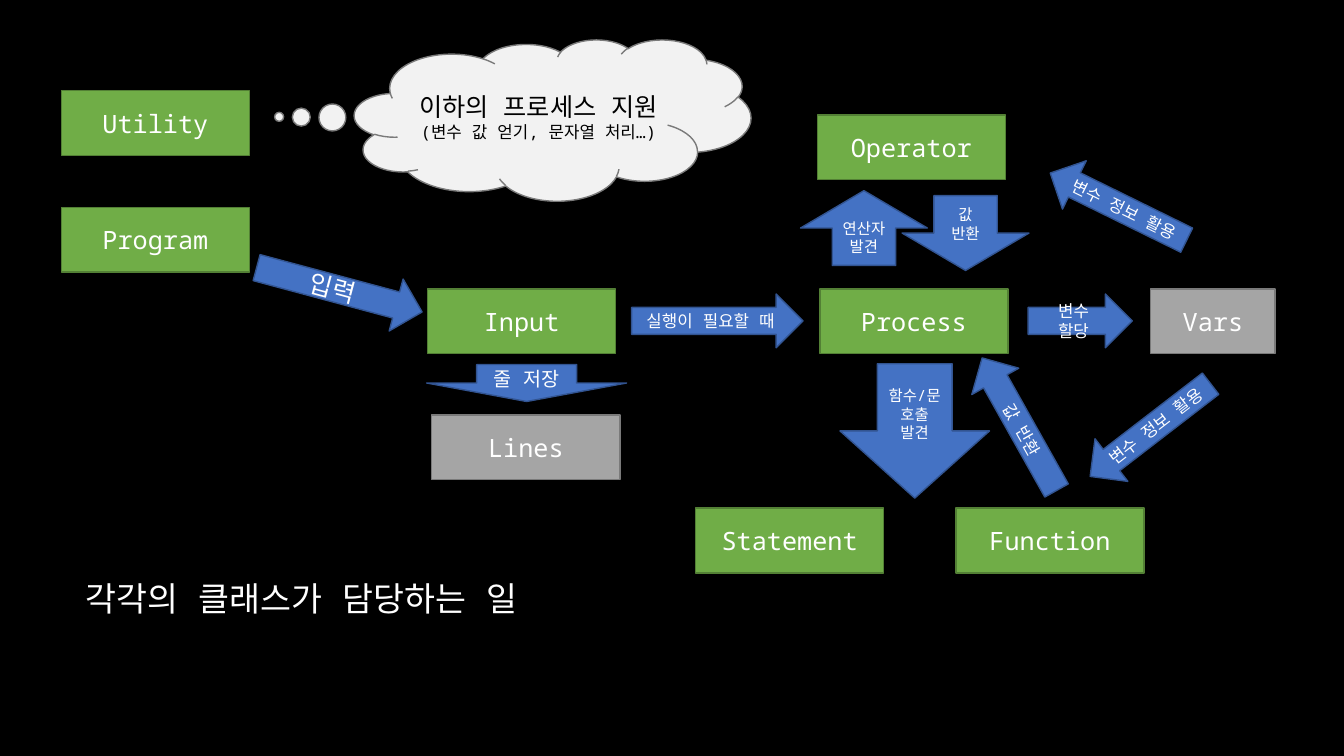
from lxml.etree import SubElement
from pptx import Presentation
from pptx.dml.color import RGBColor
from pptx.enum.shapes import MSO_SHAPE as Shape
from pptx.enum.text import MSO_ANCHOR as Anchor, PP_ALIGN as Align
from pptx.oxml.ns import qn
from pptx.util import Inches, Pt

WIDTH, HEIGHT = Inches(13.33), Inches(7.5)
COLUMNS, ROWS = 16, 9
FONT = "Noto Sans Mono"
COLORS = {
    "black": "000000", "white": "FFFFFF", "cloud": "F2F2F2",
    "green": "70AD47", "green_edge": "538035",
    "gray": "A5A5A5", "gray_edge": "7A7A7A",
    "blue": "4472C4", "blue_edge": "325491",
}
BOX_WIDTH, BOX_HEIGHT = 2.24, 0.77
ARROW_HEIGHT = 0.64
MIDDLE_ROW, BOTTOM_ROW = 3.44, 6.05

CLASSES = [
    ("Utility", 0.73, 1.08),
    ("Program", 0.73, 2.47),
    ("Input", 5.09, MIDDLE_ROW),
    ("Process", 9.76, MIDDLE_ROW),
    ("Operator", 9.73, 1.37),
    ("Statement", 8.28, BOTTOM_ROW),
    ("Function", 11.38, BOTTOM_ROW),
]
STORES = [("Lines", 5.14, 4.94, BOX_WIDTH), ("Vars", 13.7, MIDDLE_ROW, 1.48)]
LEVEL_ARROWS = [
    ("입력", Shape.RIGHT_ARROW, 3.02, 3.13, 2.04, 15, 18),
    ("실행이 필요할 때", Shape.RIGHT_ARROW, 7.52, 3.5, 2.04, 0, 12),
    ("변수 할당", Shape.RIGHT_ARROW, 12.24, 3.5, 1.24, 0, 12),
    ("변수 정보 활용", Shape.LEFT_ARROW, 12.79, 4.8, 1.81, 322.4, 12),
    ("변수 정보 활용", Shape.LEFT_ARROW, 12.41, 2.14, 1.81, 26.2, 12),
    ("값 반환", Shape.LEFT_ARROW, 11.23, 4.73, 1.81, 60.7, 12),
]
UPRIGHT_ARROWS = [
    (["줄 저장"], Shape.DOWN_ARROW, (5.08, 4.34, 2.38, 0.44), 14),
    (["함수/문", "호출 발견"], Shape.DOWN_ARROW, (10, 4.33, 1.78, 1.6), 11),
    (["연산자 발견"], Shape.UP_ARROW, (9.53, 2.27, 1.51, 0.89), 11),
    (["값 반환"], Shape.DOWN_ARROW, (10.74, 2.33, 1.51, 0.89), 11),
]


def color(name):
    return RGBColor.from_string(COLORS[name])


def place(left, top, width, height):
    column, row = WIDTH / COLUMNS, HEIGHT / ROWS
    return [round(length) for length in
            (left * column, top * row, width * column, height * row)]


def write(frame, lines, sizes, ink="white", align=Align.CENTER, anchor=Anchor.MIDDLE):
    frame.word_wrap = True
    frame.vertical_anchor = anchor
    for index, (line, size) in enumerate(zip(lines, sizes)):
        para = frame.add_paragraph() if index else frame.paragraphs[0]
        para.alignment = align
        span = para.add_run()
        span.text = line
        span.font.size = Pt(size)
        span.font.name = FONT
        span.font.color.rgb = color(ink)
        SubElement(span.font._element, qn("a:ea"), typeface=FONT)


def add_figure(page, kind, area, lines, sizes, fill, edge, turn=0, ink="white"):
    figure = page.shapes.add_shape(kind, *place(*area))
    figure.shadow.inherit = False
    figure.rotation = turn
    figure.fill.solid()
    figure.fill.fore_color.rgb = color(fill)
    figure.line.color.rgb = color(edge)
    figure.line.width = Pt(1)
    write(figure.text_frame, lines, sizes, ink=ink)
    return figure


def add_box(page, name, left, top, width=BOX_WIDTH, fill="green"):
    add_figure(page, Shape.RECTANGLE, (left, top, width, BOX_HEIGHT),
               [name], [18], fill, f"{fill}_edge")


def add_arrow(page, lines, kind, area, size, turn=0):
    add_figure(page, kind, area, lines, [size] * len(lines),
               "blue", "blue_edge", turn=turn)


def add_cloud(page):
    cloud = add_figure(page, Shape.CLOUD_CALLOUT, (4.22, 0.47, 4.72, 1.92),
                       ["이하의 프로세스 지원", "(변수 값 얻기, 문자열 처리…)"], [18, 12],
                       "cloud", "gray_edge", ink="black")
    cloud.adjustments[0] = -0.69
    cloud.adjustments[1] = -0.02


def add_caption(page, text):
    box = page.shapes.add_textbox(*place(0.9, 6.82, 5.68, 0.6))
    write(box.text_frame, [text], [24], align=Align.LEFT, anchor=Anchor.TOP)


def main():
    deck = Presentation()
    deck.slide_width, deck.slide_height = WIDTH, HEIGHT
    page = deck.slides.add_slide(deck.slide_layouts[6])
    page.background.fill.solid()
    page.background.fill.fore_color.rgb = color("black")
    for name, left, top in CLASSES:
        add_box(page, name, left, top)
    for name, left, top, width in STORES:
        add_box(page, name, left, top, width, fill="gray")
    for text, kind, left, top, width, turn, size in LEVEL_ARROWS:
        add_arrow(page, [text], kind, (left, top, width, ARROW_HEIGHT), size, turn)
    for lines, kind, area, size in UPRIGHT_ARROWS:
        add_arrow(page, lines, kind, area, size)
    add_cloud(page)
    add_caption(page, "각각의 클래스가 담당하는 일")
    deck.save("out.pptx")


if __name__ == "__main__":
    main()
